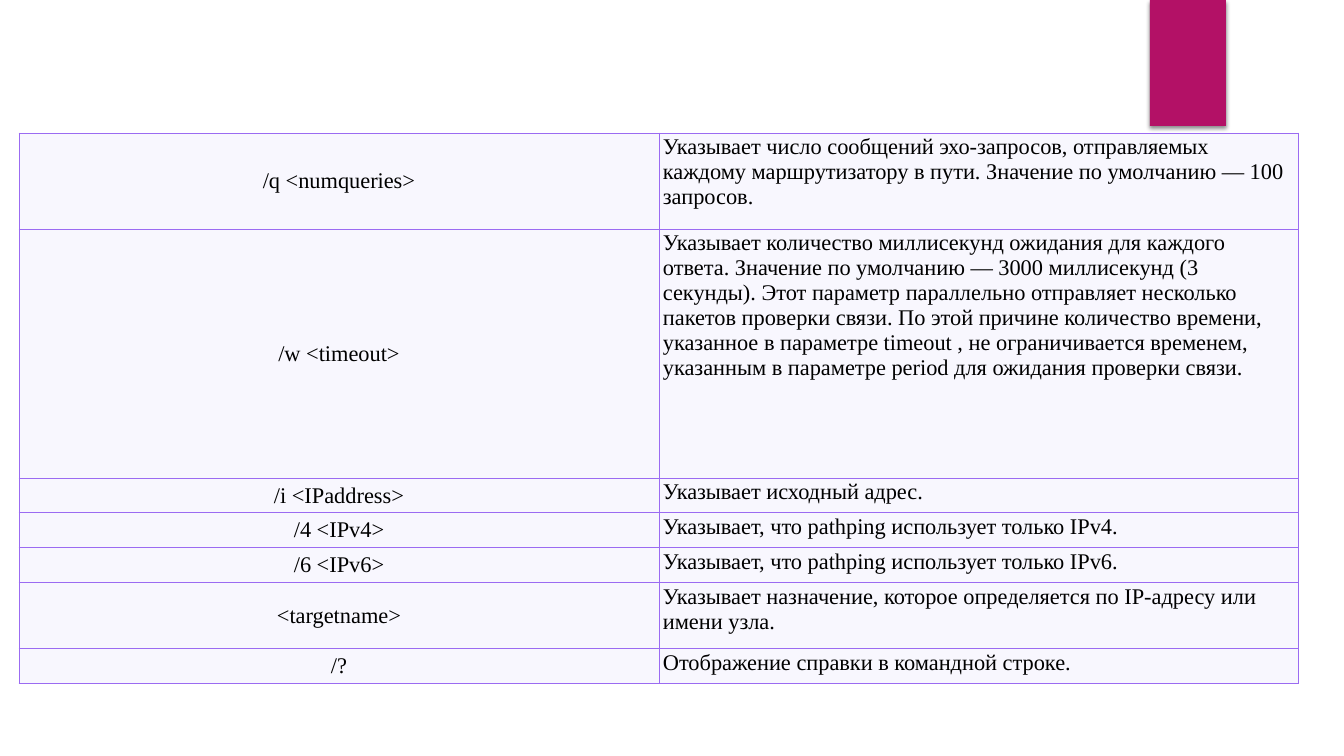
from lxml import etree
from pptx import Presentation
from pptx.dml.color import RGBColor
from pptx.enum.shapes import MSO_SHAPE
from pptx.enum.text import MSO_ANCHOR, PP_ALIGN
from pptx.oxml import parse_xml
from pptx.util import Pt

RECTANGLE = MSO_SHAPE.RECTANGLE
TOP, MIDDLE = MSO_ANCHOR.TOP, MSO_ANCHOR.MIDDLE
LEFT, CENTER = PP_ALIGN.LEFT, PP_ALIGN.CENTER

COLORS = {"accent": "B31166", "cell": "F8F7FE", "border": "9B6BF2",
          "text": "000000", "shadow": "000000"}
NS = 'xmlns:a="http://schemas.openxmlformats.org/drawingml/2006/main"'
FONT = {"name": "Times New Roman", "size": Pt(16), "bold": False}

# Row height, parameter, description
PARAMETERS = [
    (96, "/q <numqueries>",
     "Указывает число сообщений эхо-запросов, отправляемых каждому "
     "маршрутизатору в пути. Значение по умолчанию — 100 запросов."),
    (249, "/w <timeout>",
     "Указывает количество миллисекунд ожидания для каждого ответа. "
     "Значение по умолчанию — 3000 миллисекунд (3 секунды). Этот параметр "
     "параллельно отправляет несколько пакетов проверки связи. По этой "
     "причине количество времени, указанное в параметре timeout , "
     "не ограничивается временем, указанным в параметре period "
     "для ожидания проверки связи."),
    (35, "/i <IPaddress>", "Указывает исходный адрес."),
    (35, "/4 <IPv4>", "Указывает, что pathping использует только IPv4."),
    (35, "/6 <IPv6>", "Указывает, что pathping использует только IPv6."),
    (66, "<targetname>",
     "Указывает назначение, которое определяется по IP-адресу или имени узла."),
    (35, "/?", "Отображение справки в командной строке."),
]
COLUMN_FORMATS = [(MIDDLE, CENTER), (TOP, LEFT)]
COLUMN_WIDTH = 640


def px(n):
    return round(n * 914400 / 100.8)


def add_borders(cell):
    tc_pr = cell._tc.get_or_add_tcPr()
    for i, side in enumerate(("lnL", "lnR", "lnT", "lnB")):
        tc_pr.insert(i, parse_xml(
            f'<a:{side} {NS} w="{Pt(0.75)}"><a:solidFill>'
            f'<a:srgbClr val="{COLORS["border"]}"/></a:solidFill></a:{side}>'))


prs = Presentation()
prs.slide_width, prs.slide_height = px(1344), px(756)
s = prs.slides.add_slide(prs.slide_layouts[6])

# Accent tab at the top edge
tab = s.shapes.add_shape(RECTANGLE, px(1150), 0, px(76), px(126))
tab.fill.solid()
tab.fill.fore_color.rgb = RGBColor.from_string(COLORS["accent"])
tab.line.fill.background()
tab.shadow.inherit = False
effects = tab._element.spPr.find("{*}effectLst")
effects.append(etree.fromstring(
    f'<a:outerShdw {NS} blurRad="{Pt(3)}" dist="{Pt(2)}" dir="5400000" '
    f'rotWithShape="0"><a:srgbClr val="{COLORS["shadow"]}">'
    f'<a:alpha val="45000"/></a:srgbClr></a:outerShdw>'))

# Parameter table
table_height = sum(height for height, *_ in PARAMETERS)
table = s.shapes.add_table(len(PARAMETERS), 2, px(19), px(133),
                           px(2 * COLUMN_WIDTH), px(table_height)).table
table.first_row = table.horz_banding = False
for column in table.columns:
    column.width = px(COLUMN_WIDTH)

margins = {"margin_left": px(4), "margin_right": px(4),
           "margin_top": px(2), "margin_bottom": px(2)}
for row, (height, *texts) in enumerate(PARAMETERS):
    table.rows[row].height = px(height)
    for col, (text, (anchor, align)) in enumerate(zip(texts, COLUMN_FORMATS)):
        cell = table.cell(row, col)
        for name, value in margins.items():
            setattr(cell, name, value)
        cell.vertical_anchor = anchor
        cell.fill.solid()
        cell.fill.fore_color.rgb = RGBColor.from_string(COLORS["cell"])
        add_borders(cell)
        p = cell.text_frame.paragraphs[0]
        p.alignment = align
        r = p.add_run()
        r.text = text
        for name, value in FONT.items():
            setattr(r.font, name, value)
        r.font.color.rgb = RGBColor.from_string(COLORS["text"])

prs.save("out.pptx")
